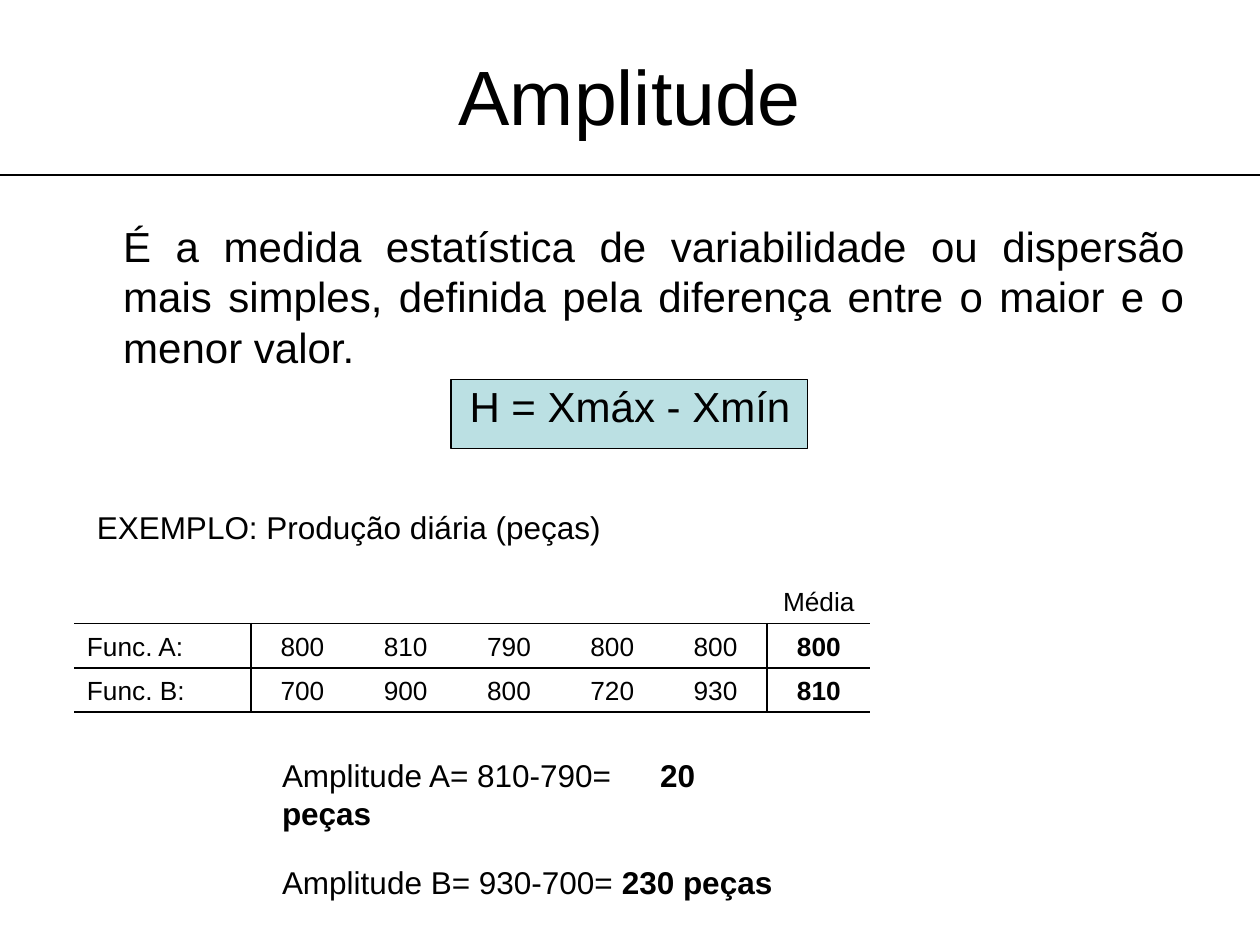
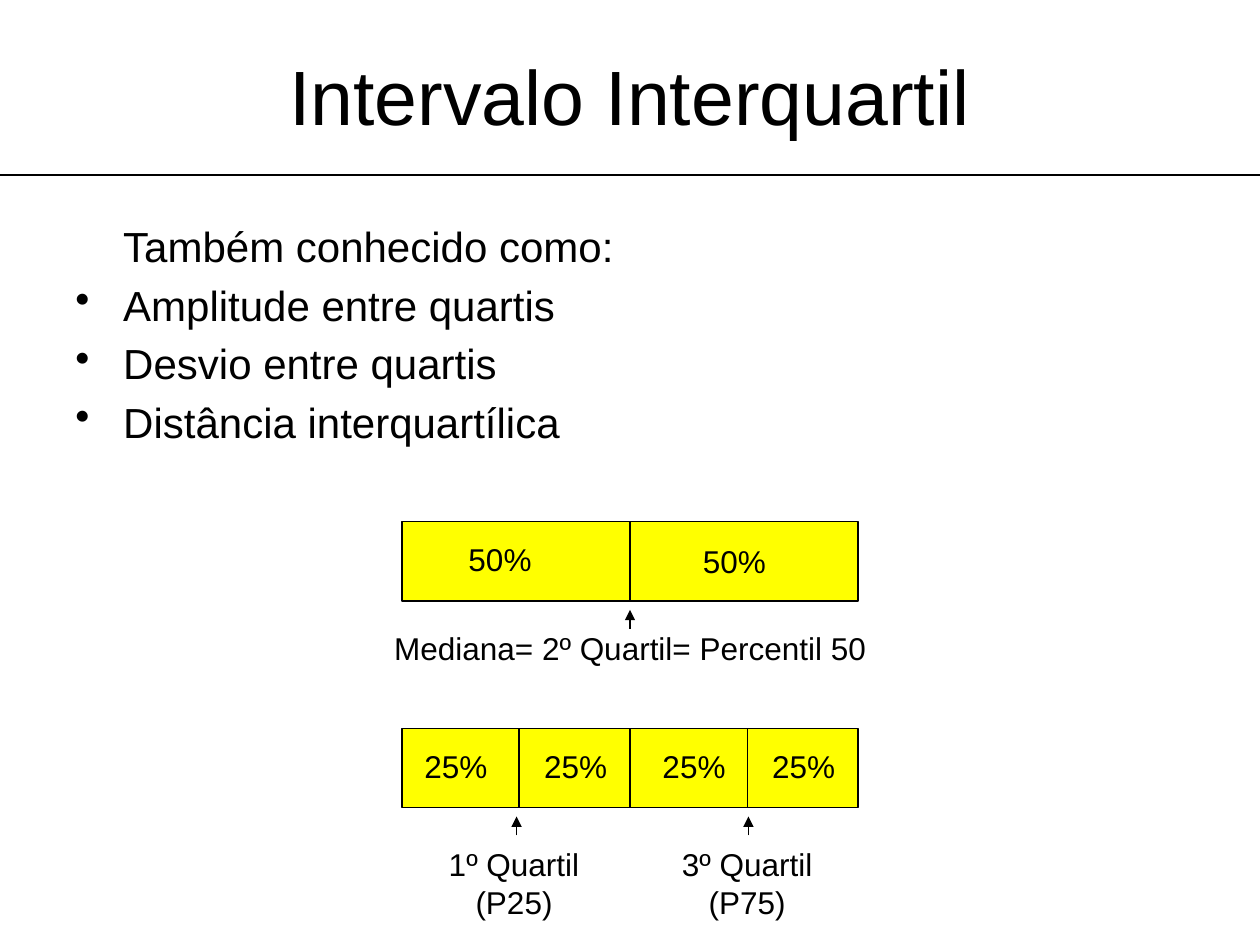
from dataclasses import dataclass

from lxml.etree import SubElement
from pptx import Presentation
from pptx.dml.color import RGBColor
from pptx.enum.shapes import MSO_CONNECTOR as Connector, MSO_SHAPE as Shape
from pptx.enum.text import MSO_ANCHOR as Anchor, MSO_AUTO_SIZE as AutoSize, PP_ALIGN as Align
from pptx.oxml.ns import qn
from pptx.util import Emu, Inches, Pt


@dataclass(frozen=True)
class Theme:
    """Colours, type sizes and grid shared by both slides."""
    font: str = "Arial"
    ink: RGBColor = RGBColor(0, 0, 0)
    formula: RGBColor = RGBColor(0xBB, 0xE0, 0xE3)
    bar: RGBColor = RGBColor(0xFF, 0xFF, 0)
    title: float = 44
    body: float = 24
    label: float = 18
    cell: float = 15
    line: float = 0.75
    border: float = 1
    width: int = Inches(10)
    columns: int = 10
    rows: float = 7.5
    hang: float = 0.38


@dataclass(frozen=True)
class Para:
    """A paragraph: (text, bold) spans with their layout."""
    spans: tuple
    align: Align = Align.LEFT
    before: float = 0
    margin: float = 0
    bullet: str = ""
    tab: float = 0


THEME = Theme()
BAR_LEFT, BAR_WIDTH, BAR_HEIGHT = 3.19, 3.62, 0.63
BAR_RIGHT, MIDDLE = BAR_LEFT + BAR_WIDTH, THEME.columns / 2


def grid(*steps):
    """Turn grid steps into slide lengths."""
    return [Emu(round(THEME.width * step / THEME.columns)) for step in steps]


def plain(text, **layout):
    """Make a paragraph of one regular span."""
    return Para(((text, False),), **layout)


def write_para(para, content, size):
    """Fill a paragraph with its spans and layout."""
    para.alignment = content.align
    para.space_before = Pt(content.before)
    props = para._p.get_or_add_pPr()
    margin, tab = grid(content.margin, content.tab)
    props.set("marL", str(margin))
    props.set("indent", str(-margin if content.bullet else 0))
    if content.bullet:
        SubElement(props, qn("a:buChar"), char=content.bullet)
    else:
        SubElement(props, qn("a:buNone"))
    if tab:
        stops = SubElement(props, qn("a:tabLst"))
        SubElement(stops, qn("a:tab"), pos=str(tab), algn="l")
    for text, bold in content.spans:
        span = para.add_run()
        span.text = text
        span.font.name, span.font.size, span.font.bold = THEME.font, Pt(size), bold
        span.font.color.rgb = THEME.ink


def add_text(page, area, paras, size, wrap=True, anchor=Anchor.TOP):
    """Add a text box; unwrapped boxes grow with their text."""
    frame = page.shapes.add_textbox(*grid(*area)).text_frame
    frame.word_wrap, frame.vertical_anchor = wrap, anchor
    frame.auto_size = AutoSize.NONE if wrap else AutoSize.SHAPE_TO_FIT_TEXT
    for number, content in enumerate(paras):
        para = frame.add_paragraph() if number else frame.paragraphs[0]
        write_para(para, content, size)


def add_label(page, area, *paras):
    """Add an unwrapped label."""
    add_text(page, area, paras, THEME.label, wrap=False)


def add_body(page, *paras):
    """Add the main text of a slide."""
    add_text(page, (0.5, 1.7, 9, 2.12), paras, THEME.body)


def add_box(page, area, fill):
    """Add a filled rectangle with a thin outline."""
    box = page.shapes.add_shape(Shape.RECTANGLE, *grid(*area))
    box.shadow.inherit = False
    box.fill.solid()
    box.fill.fore_color.rgb = fill
    box.line.color.rgb, box.line.width = THEME.ink, Pt(THEME.line)


def add_line(page, start, end, arrow=False):
    """Add a thin line, with an arrowhead at its end if asked."""
    line = page.shapes.add_connector(Connector.STRAIGHT, *grid(*start, *end))
    line.line.color.rgb, line.line.width = THEME.ink, Pt(THEME.line)
    if arrow:
        SubElement(line.line._get_or_add_ln(), qn("a:tailEnd"), type="triangle")
    SubElement(line._element.spPr, qn("a:effectLst"))


def add_page(deck, title):
    """Add a blank slide with its title and rule."""
    page = deck.slides.add_slide(deck.slide_layouts[6])
    add_text(page, (0.5, 0.13, 9, 1.25), [plain(title, align=Align.CENTER)],
             THEME.title, anchor=Anchor.MIDDLE)
    add_line(page, (0, 1.39), (THEME.columns, 1.39))
    return page


def set_borders(cell, **sides):
    """Draw or clear the four borders of a cell."""
    props = cell._tc.get_or_add_tcPr()
    for side in "LRTB":
        border = SubElement(props, qn(f"a:ln{side}"), w=str(Pt(THEME.border)))
        if sides[side]:
            fill = SubElement(border, qn("a:solidFill"))
            SubElement(fill, qn("a:srgbClr"), val=str(THEME.ink))
        else:
            SubElement(border, qn("a:noFill"))


def add_table(page, area, widths, heights, records):
    """Add a ruled table with a separate first and last column."""
    table = page.shapes.add_table(len(heights), len(widths), *grid(*area)).table
    table.first_row = table.horz_banding = False
    for column, width in zip(table.columns, grid(*widths)):
        column.width = width
    for row, height in zip(table.rows, grid(*heights)):
        row.height = height
    last = len(widths) - 1
    for r, record in enumerate(records):
        for c, text in enumerate(record):
            cell = table.cell(r, c)
            cell.vertical_anchor = Anchor.BOTTOM
            set_borders(cell, L=r > 0 and c in (1, last),
                        R=r > 0 and c in (0, last - 1), T=r > 0, B=True)
            cell.fill.background()
            if text:
                content = Para(((text, r > 0 and c == last),),
                               align=Align.CENTER if c else Align.LEFT)
                write_para(cell.text_frame.paragraphs[0], content, THEME.cell)


def add_split_bar(page, top, dividers, share, label_lefts, label_tops):
    """Add a bar cut by dividers, with the same share in each part."""
    add_box(page, (BAR_LEFT, top, BAR_WIDTH, BAR_HEIGHT), THEME.bar)
    for x in dividers:
        add_line(page, (x, top), (x, top + BAR_HEIGHT))
    for left, label_top in zip(label_lefts, label_tops):
        add_label(page, (left, label_top, 0.7, 0.4), plain(share))


def add_pointer(page, x, bar_top):
    """Add a short arrow pointing up at a bar."""
    bottom = bar_top + BAR_HEIGHT
    add_line(page, (x, bottom + 0.22), (x, bottom + 0.07), arrow=True)


def build_range(deck):
    """Build the slide on the range."""
    page = add_page(deck, "Amplitude")
    before = THEME.body * 0.2
    add_box(page, (3.58, 3.01, 2.83, 0.55), THEME.formula)
    add_body(
        page,
        plain("É a medida estatística de variabilidade ou dispersão mais simples, "
              "definida pela diferença entre o maior e o menor valor.",
              align=Align.JUSTIFY, before=before, margin=THEME.hang),
        plain("H = Xmáx - Xmín", align=Align.CENTER, before=before))
    add_label(page, (0.67, 3.98, 4.24, 0.4), plain("EXEMPLO: Produção diária (peças)"))
    add_label(
        page, (2.14, 5.95, 4.13, 0.96),
        Para((("Amplitude A= 810-790=\t", False), ("20 peças", True)), tab=2.82),
        Para((("Amplitude B= 930-700= ", False), ("230 peças", True)), before=THEME.label))
    add_table(page, (0.59, 4.38, 6.32, 1.27), [1.4] + [0.82] * 6, [0.57, 0.35, 0.35], [
        [""] * 6 + ["Média"],
        ["Func. A:", "800", "810", "790", "800", "800", "800"],
        ["Func. B:", "700", "900", "800", "720", "930", "810"]])


def build_quartiles(deck):
    """Build the slide on the interquartile range."""
    page = add_page(deck, "Intervalo Interquartil")
    layout = dict(align=Align.JUSTIFY, before=THEME.body * 0.2, margin=THEME.hang)
    names = "Amplitude entre quartis", "Desvio entre quartis", "Distância interquartílica"
    add_body(page, plain("Também conhecido como:", **layout),
             *[plain(name, bullet="•", **layout) for name in names])
    halves, quarters = 4.14, 5.78
    add_split_bar(page, halves, [MIDDLE], "50%", [3.62, 5.48], [4.24, 4.25])
    add_label(page, (3.03, 4.94, 3.95, 0.4), plain("Mediana= 2º Quartil= Percentil 50"))
    add_pointer(page, MIDDLE, halves)
    add_split_bar(page, quarters, [4.12, MIDDLE, 5.93], "25%",
                  [3.27, 4.22, 5.16, 6.03], [5.88] * 4)
    for x, left, name, percentile in ((4.1, 3.46, "1º Quartil", "(P25)"),
                                      (5.94, 5.31, "3º Quartil", "(P75)")):
        add_pointer(page, x, quarters)
        add_label(page, (left, 6.66, 1.24, 0.7), plain(name, align=Align.CENTER),
                  plain(percentile, align=Align.CENTER))


def main():
    """Build and save the deck."""
    deck = Presentation()
    deck.slide_width, deck.slide_height = grid(THEME.columns, THEME.rows)
    build_range(deck)
    build_quartiles(deck)
    deck.save("out.pptx")


if __name__ == "__main__":
    main()
